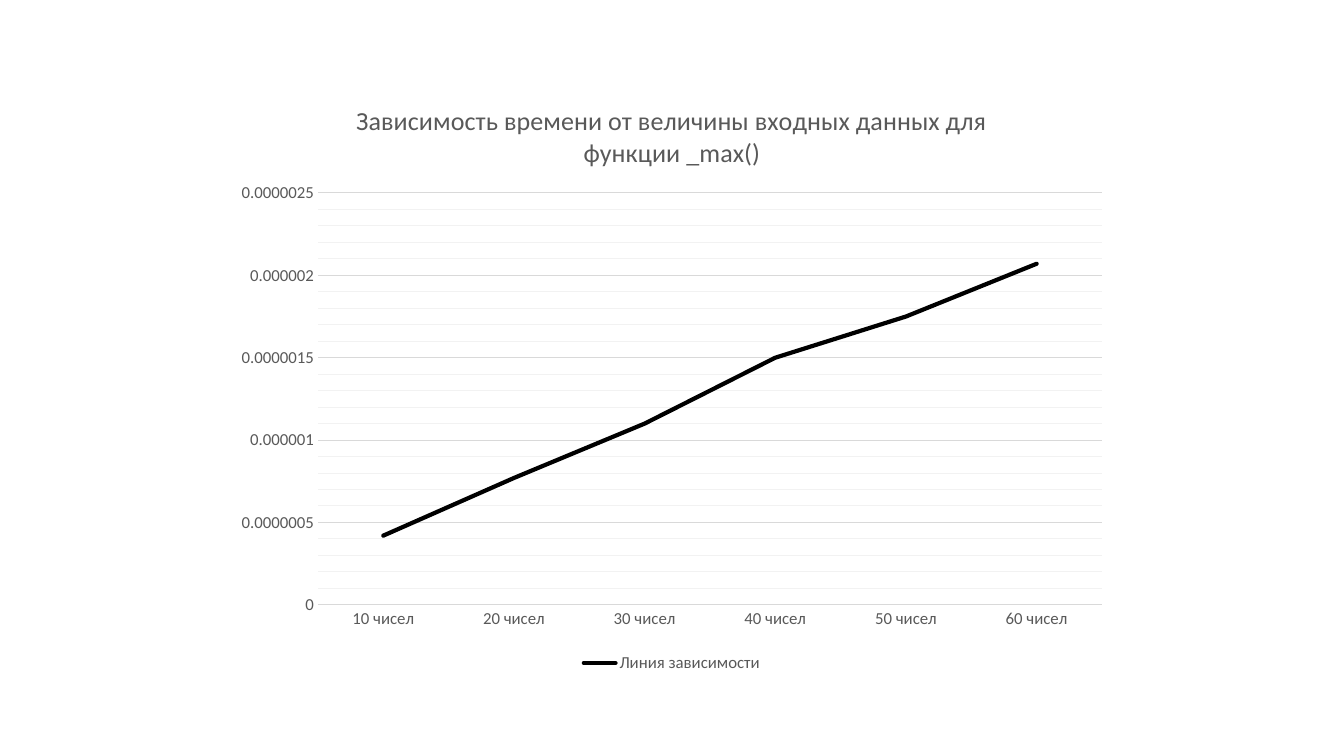
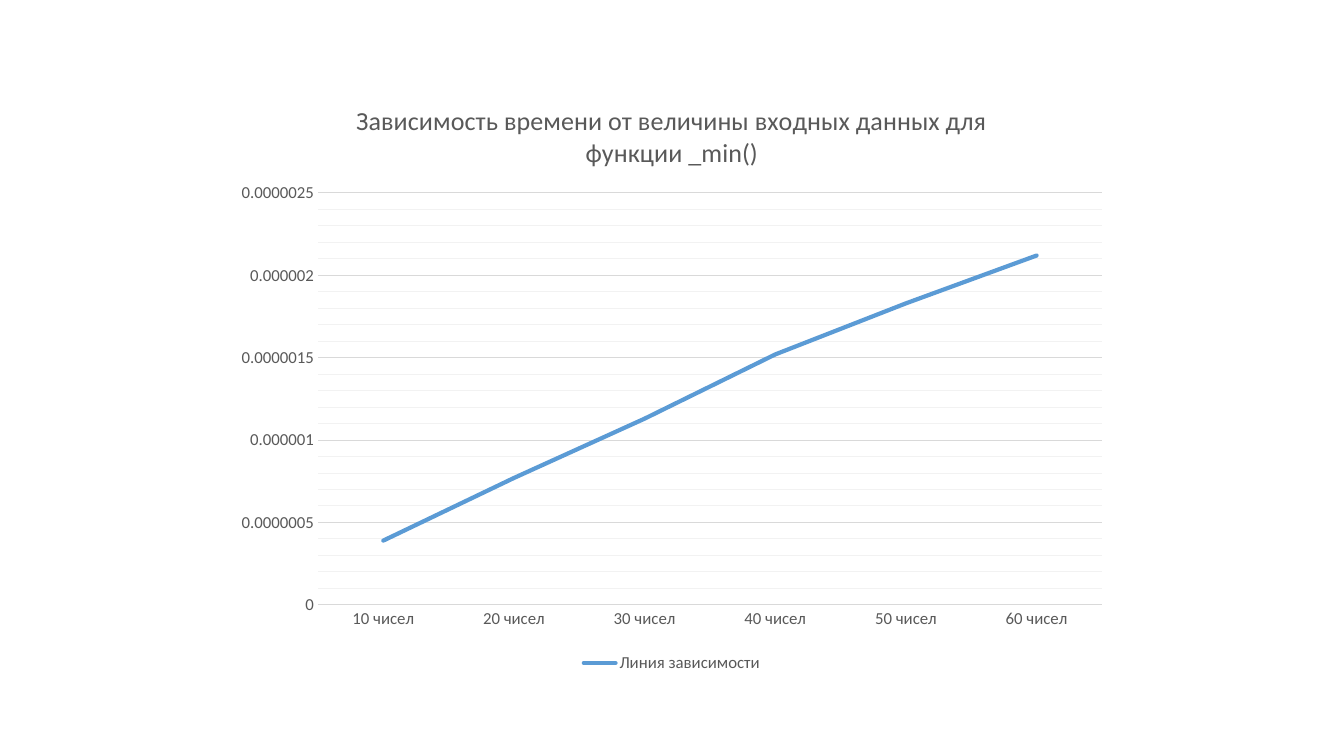
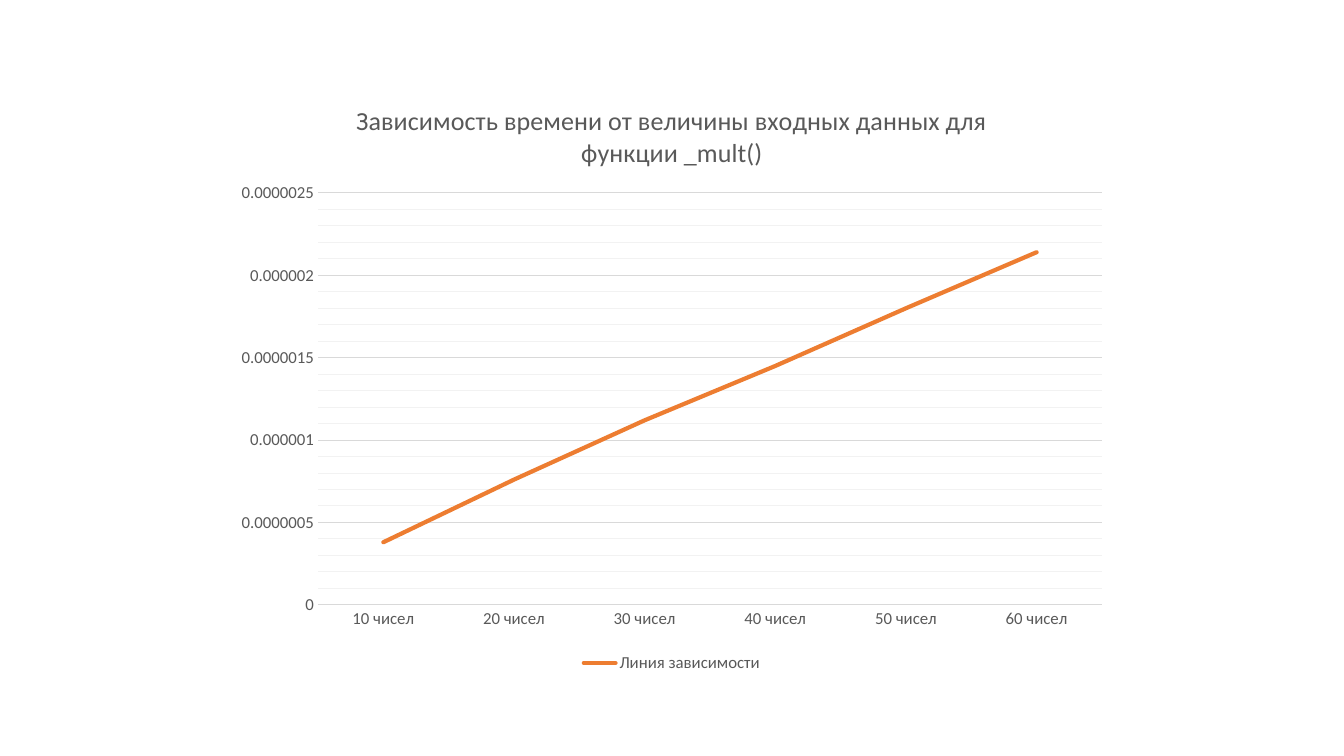
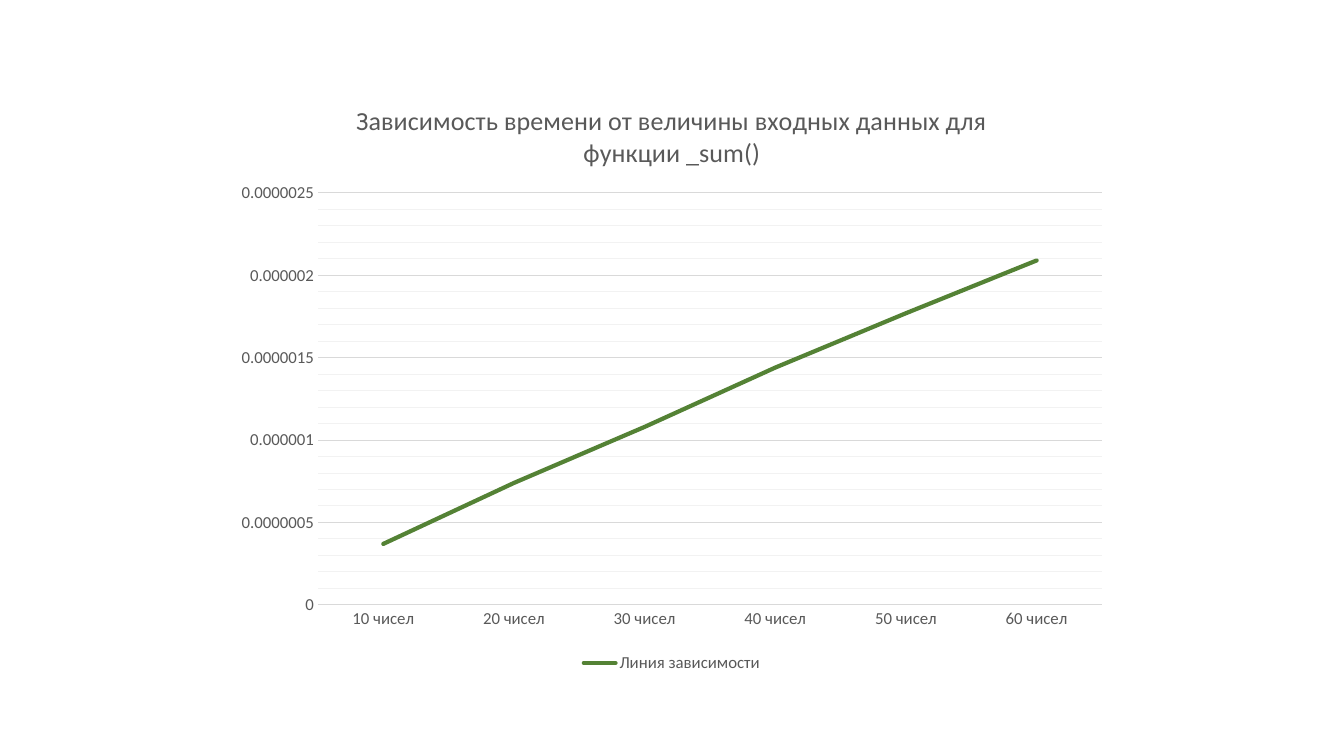
from copy import deepcopy
from dataclasses import dataclass

from lxml.etree import SubElement
from pptx import Presentation
from pptx.chart.axis import CategoryAxis, ValueAxis
from pptx.chart.chart import Chart
from pptx.chart.data import CategoryChartData
from pptx.chart.series import LineSeries
from pptx.dml.color import RGBColor
from pptx.dml.line import LineFormat
from pptx.enum.chart import XL_CHART_TYPE, XL_LEGEND_POSITION, XL_TICK_MARK
from pptx.oxml.ns import qn
from pptx.slide import Slide
from pptx.text.text import Font
from pptx.util import Emu, Pt

SLIDE_WIDTH, SLIDE_HEIGHT = 1344, 756
EMU_PER_PX = 12192000 / SLIDE_WIDTH
CHART_LEFT, CHART_TOP, CHART_WIDTH, CHART_HEIGHT = 224, 80, 896, 597
PLOT_LEFT, PLOT_TOP, PLOT_WIDTH, PLOT_HEIGHT = 318, 193, 784, 412

FONT_NAME = "Calibri"
TEXT_COLOR = "595959"
MAJOR_GRID_COLOR = "D9D9D9"
MINOR_GRID_COLOR = "F2F2F2"
TITLE_SIZE, LABEL_SIZE = 18.6, 12
GRID_WIDTH, SERIES_WIDTH = 0.75, 3

SERIES_NAME = "Линия зависимости"
CATEGORIES = [f"{count} чисел" for count in range(10, 70, 10)]


@dataclass(frozen=True)
class Timing:
    function: str
    color: str
    seconds: tuple[float, ...]


TIMINGS = (
    Timing("_max()", "000000", (4.2e-7, 7.7e-7, 1.1e-6, 1.5e-6, 1.75e-6, 2.07e-6)),
    Timing("_min()", "5B9BD5", (3.9e-7, 7.7e-7, 1.13e-6, 1.52e-6, 1.83e-6, 2.12e-6)),
    Timing("_mult()", "ED7D31", (3.8e-7, 7.6e-7, 1.12e-6, 1.45e-6, 1.8e-6, 2.14e-6)),
    Timing("_sum()", "548235", (3.7e-7, 7.4e-7, 1.08e-6, 1.44e-6, 1.77e-6, 2.09e-6)),
)


def px(length: int) -> Emu:
    return Emu(round(length * EMU_PER_PX))


def rgb(color: str) -> RGBColor:
    return RGBColor.from_string(color)


def style_font(font: Font, size: float) -> None:
    font.name = FONT_NAME
    font.size = Pt(size)
    font.bold = False
    font.color.rgb = rgb(TEXT_COLOR)


def style_line(line: LineFormat, color: str, width: float) -> None:
    line.color.rgb = rgb(color)
    line.width = Pt(width)


def style_title(chart: Chart, function: str) -> None:
    chart.has_title = True
    chart.chart_title.include_in_layout = False
    paragraph = chart.chart_title.text_frame.paragraphs[0]
    paragraph.text = f"Зависимость времени от величины входных данных для функции {function}"
    style_font(paragraph.font, TITLE_SIZE)


def style_legend(chart: Chart) -> None:
    chart.has_legend = True
    chart.legend.position = XL_LEGEND_POSITION.BOTTOM
    chart.legend.include_in_layout = False
    style_font(chart.legend.font, LABEL_SIZE)


def style_axis(axis: CategoryAxis | ValueAxis) -> None:
    axis.major_tick_mark = axis.minor_tick_mark = XL_TICK_MARK.NONE
    style_font(axis.tick_labels.font, LABEL_SIZE)


def style_gridlines(axis: ValueAxis) -> None:
    """Draw both grids; the minor one takes the major one's line in a paler colour."""
    axis.has_major_gridlines = axis.has_minor_gridlines = True
    style_line(axis.major_gridlines.format.line, MAJOR_GRID_COLOR, GRID_WIDTH)
    major = axis._element.find(qn("c:majorGridlines"))
    minor = axis._element.find(qn("c:minorGridlines"))
    minor_style = deepcopy(major.find(qn("c:spPr")))
    next(minor_style.iter(qn("a:srgbClr"))).set("val", MINOR_GRID_COLOR)
    minor.append(minor_style)


def style_axes(chart: Chart) -> None:
    count_axis, time_axis = chart.category_axis, chart.value_axis
    style_axis(count_axis)
    style_line(count_axis.format.line, MAJOR_GRID_COLOR, GRID_WIDTH)

    style_axis(time_axis)
    time_axis.format.line.fill.background()
    time_axis.minimum_scale, time_axis.maximum_scale = 0, 2.5e-6
    time_axis.major_unit, time_axis.minor_unit = 5e-7, 1e-7
    style_gridlines(time_axis)


def style_series(series: LineSeries, color: str) -> None:
    series.smooth = False
    style_line(series.format.line, color, SERIES_WIDTH)
    outline = series._element.find(qn("c:spPr")).find(qn("a:ln"))
    outline.set("cap", "rnd")
    SubElement(outline, qn("a:round"))


def place_plot(chart: Chart) -> None:
    """Fix the inner plot area as fractions of the chart."""
    plot_area = chart._chartSpace.chart.plotArea
    layout = plot_area.find(qn("c:layout"))
    if layout is None:
        layout = SubElement(plot_area, qn("c:layout"))
        plot_area.insert(0, layout)
    manual = SubElement(layout, qn("c:manualLayout"))
    settings = {
        "layoutTarget": "inner",
        "xMode": "edge",
        "yMode": "edge",
        "x": (PLOT_LEFT - CHART_LEFT) / CHART_WIDTH,
        "y": (PLOT_TOP - CHART_TOP) / CHART_HEIGHT,
        "w": PLOT_WIDTH / CHART_WIDTH,
        "h": PLOT_HEIGHT / CHART_HEIGHT,
    }
    for tag, value in settings.items():
        SubElement(manual, qn(f"c:{tag}")).set("val", str(value))


def add_timing_chart(slide: Slide, timing: Timing) -> None:
    data = CategoryChartData()
    data.categories = CATEGORIES
    data.add_series(SERIES_NAME, timing.seconds)
    chart = slide.shapes.add_chart(
        XL_CHART_TYPE.LINE,
        px(CHART_LEFT), px(CHART_TOP), px(CHART_WIDTH), px(CHART_HEIGHT),
        data,
    ).chart
    chart.font.name = FONT_NAME
    chart.font.size = Pt(10)
    chart.plots[0].vary_by_categories = False
    style_title(chart, timing.function)
    style_legend(chart)
    style_axes(chart)
    style_series(chart.plots[0].series[0], timing.color)
    place_plot(chart)


def main() -> None:
    presentation = Presentation()
    presentation.slide_width = px(SLIDE_WIDTH)
    presentation.slide_height = px(SLIDE_HEIGHT)
    blank_layout = presentation.slide_layouts[6]
    for timing in TIMINGS:
        add_timing_chart(presentation.slides.add_slide(blank_layout), timing)
    presentation.save("out.pptx")


if __name__ == "__main__":
    main()
